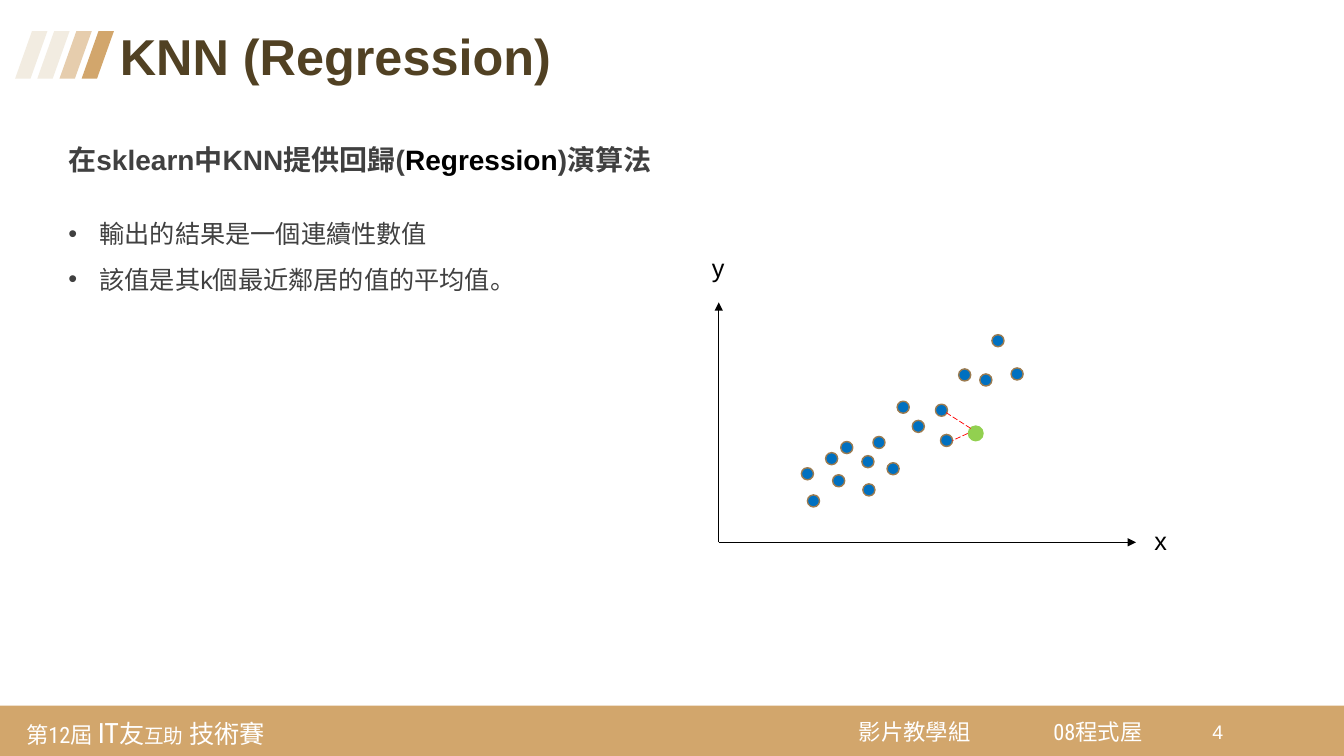
from lxml.etree import SubElement
from pptx import Presentation
from pptx.dml.color import RGBColor
from pptx.enum.dml import MSO_LINE
from pptx.enum.shapes import MSO_CONNECTOR, MSO_SHAPE as SHAPE
from pptx.enum.text import MSO_ANCHOR as ANCHOR, PP_ALIGN as ALIGN
from pptx.oxml.ns import qn
from pptx.util import Inches, Pt

COLS, ROWS = 133.33, 75
GOLD, INK, WHITE, BLACK = "D2A66C", "404040", "FFFFFF", "000000"
POINTS = [(22.1, 13.1), (19.8, 11.5), (24.4, 16.6), (18.3, 13.4), (27.7, 20),
          (29.6, 16.7), (26.5, 16.1), (22.6, 10.1), (8.8, 6.8), (11.2, 8.3),
          (9.4, 4.1), (14.8, 8), (17.3, 7.3), (12.7, 9.4), (14.9, 5.2),
          (11.9, 6.1), (15.9, 9.9)]
QUERY = (25.5, 10.8)
NEIGHBOR_LINKS = [((25, 11.3), (22.5, 12.9)), ((24.7, 10.8), (23.2, 10.1))]


def cells(*values):
    """Turn grid columns or rows, ten to the inch, into lengths."""
    return [Inches(v / 10) for v in values]


def rgb(code):
    """Turn a hex string into a colour."""
    return RGBColor.from_string(code)


def add_runs(p, runs, font="Arial", color=BLACK, bold=False):
    """Add (text, size[, colour]) runs to a paragraph."""
    for text, size, *own in runs:
        r = p.add_run()
        r.text = text
        r.font.name, r.font.size, r.font.bold = font, Pt(size), bold
        r.font.color.rgb = rgb(own[0] if own else color)


def add_text(s, box, runs, anchor=ANCHOR.TOP, inset=None, wrap=True,
             align=ALIGN.LEFT, spacing=None, **fmt):
    """Add a text box holding one paragraph and return its frame."""
    tf = s.shapes.add_textbox(*cells(*box)).text_frame
    tf.word_wrap, tf.vertical_anchor = wrap, anchor
    if inset is not None:
        tf.margin_left = tf.margin_right = Inches(inset)
        tf.margin_top = tf.margin_bottom = Inches(inset)
    p = tf.paragraphs[0]
    p.alignment, p.line_spacing = align, spacing
    add_runs(p, runs, **fmt)
    return tf


def add_bullet(tf, text, before=0):
    """Append a bulleted paragraph to a text frame."""
    p = tf.add_paragraph()
    p.line_spacing, p.space_before = 1.5, Pt(before)
    pPr = p._p.get_or_add_pPr()
    pPr.set("marL", str(Inches(0.31)))
    pPr.set("indent", str(-Inches(0.31)))
    SubElement(pPr, qn("a:buFont")).set("typeface", "Arial")
    SubElement(pPr, qn("a:buChar")).set("char", "•")
    add_runs(p, [(text, 18)], color=INK)


def add_shape(s, kind, box, fill, line=None):
    """Add a flat preset shape."""
    sp = s.shapes.add_shape(kind, *cells(*box))
    sp.shadow.inherit = False
    sp.fill.solid()
    sp.fill.fore_color.rgb = rgb(fill)
    if line:
        sp.line.color.rgb, sp.line.width = rgb(line), Pt(1)
    else:
        sp.line.fill.background()
    return sp


def add_line(s, start, end, color=BLACK, dash=None, arrow=False):
    """Add a thin straight line, dashed or arrowed on request."""
    c = s.shapes.add_connector(MSO_CONNECTOR.STRAIGHT, *cells(*start, *end))
    c.line.color.rgb, c.line.width = rgb(color), Pt(0.5)
    if dash:
        c.line.dash_style = dash
    if arrow:
        SubElement(c.line._get_or_add_ln(), qn("a:tailEnd")).set("type", "triangle")
    SubElement(c._element.spPr, qn("a:effectLst"))


def add_footer(s, x, y, w, h):
    """Draw the footer band with its labels and the page number."""
    add_shape(s, SHAPE.RECTANGLE, (x, y, w, h), GOLD)
    event = [("第12屆 ", 16), ("IT", 20), ("友", 18), ("互助", 14), (" 技術賽", 18)]
    labels = [(1.8, 0.2, 28.3, 4.9, event),
              (84.4, 0.4, 13.3, 4.3, [("影片教學組", 16)]),
              (103.7, 0.4, 13.3, 4.3, [("08程式屋", 16)])]
    for dx, dy, width, height, runs in labels:
        add_text(s, (x + dx, y + dy, width, height), runs, ANCHOR.MIDDLE, 0.08,
                 font="Roboto Condensed", color=WHITE)
    add_text(s, (x + 119.3, y + 0.9, 4.2, 4.1), [("4", 14)], color=WHITE)


def add_header(s, x, y, w, h):
    """Draw the slanted bars and the title beside them."""
    for i, fill in reversed(list(enumerate(["F2ECE1", "F2ECE1", "E6CDAD", GOLD]))):
        bar = add_shape(s, SHAPE.PARALLELOGRAM,
                        (x + 2.2 * i, y + 0.4, 3.2, 4.7), fill)
        bar.adjustments[0] = 0.522
    add_text(s, (x + 9.4, y, w - 9.4, h), [("KNN (Regression)", 36)],
             spacing=0.9, color="514123", bold=True)


def add_body(s, x, y, w, h):
    """Write the heading and its bullets."""
    heading = [("在sklearn中KNN提供回歸(", 20), ("Regression", 20, BLACK),
               (")演算法", 20)]
    tf = add_text(s, (x, y, w, h), heading, color=INK, bold=True)
    add_bullet(tf, "輸出的結果是一個連續性數值", before=20)
    add_bullet(tf, "該值是其k個最近鄰居的值的平均值。")


def add_plot(s, x, y, w, h):
    """Draw the axes, the data points and the query with its neighbors."""
    def at(point):
        """Place a point measured from the origin of the axes."""
        return x + point[0], y + h - point[1]

    def add_dot(point, size, fill, line=None):
        """Draw a dot centred on a point."""
        cx, cy = at(point)
        add_shape(s, SHAPE.OVAL, (cx - size / 2, cy - size / 2, size, size),
                  fill, line)

    for tip in [(0, h), (w, 0)]:
        add_line(s, at((0, 0)), at(tip), arrow=True)
    for name, dx, dy in [("x", w + 0.8, h - 2.2), ("y", -1.7, -5.5)]:
        add_text(s, (x + dx, y + dy, 3.3, 4), [(name, 18)], wrap=False,
                 align=ALIGN.CENTER)
    for point in POINTS:
        add_dot(point, 1.2, "0070C0", "9B7B50")
    add_dot(QUERY, 1.6, "92D050")
    for start, end in NEIGHBOR_LINKS:
        add_line(s, at(start), at(end), "FF0000", MSO_LINE.LONG_DASH)


def main():
    """Build the slide and save it."""
    prs = Presentation()
    prs.slide_width, prs.slide_height = cells(COLS, ROWS)
    s = prs.slides.add_slide(prs.slide_layouts[6])
    add_footer(s, 0, 70, COLS, 5)
    add_header(s, 1.5, 2.7, 111.3, 6.5)
    add_body(s, 5.8, 13.6, 66.7, 19.5)
    add_plot(s, 71.3, 30, 41.4, 23.8)
    prs.save("out.pptx")


if __name__ == "__main__":
    main()
